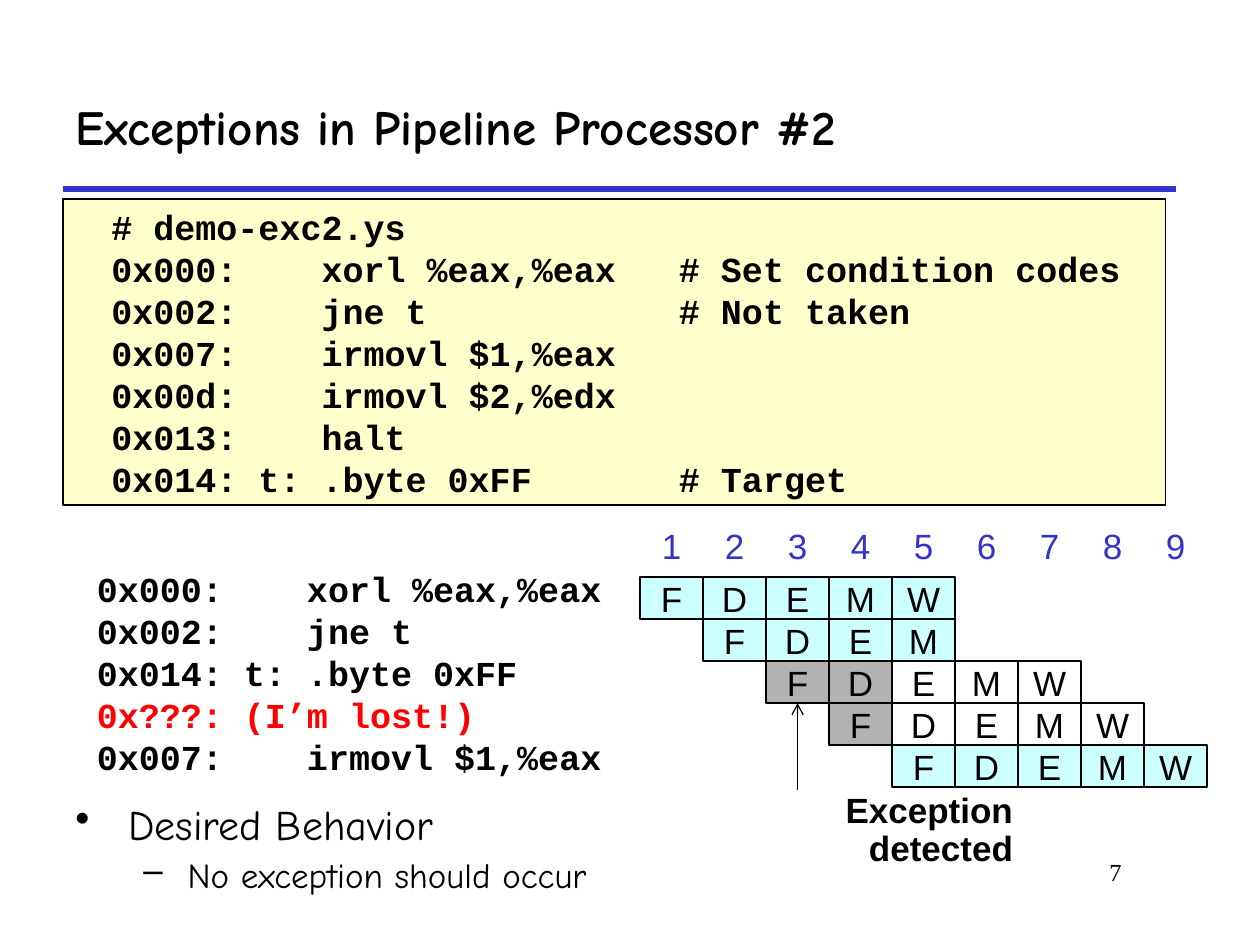
from lxml.etree import SubElement
from pptx import Presentation
from pptx.dml.color import RGBColor
from pptx.enum.shapes import MSO_CONNECTOR, MSO_SHAPE
from pptx.enum.text import MSO_ANCHOR, PP_ALIGN
from pptx.oxml.ns import qn
from pptx.util import Inches, Pt

BLACK = RGBColor(0x00, 0x00, 0x00)
WHITE = RGBColor(0xFF, 0xFF, 0xFF)
BLUE = RGBColor(0x33, 0x33, 0xCC)
RED = RGBColor(0xFF, 0x00, 0x00)
CREAM = RGBColor(0xFF, 0xFF, 0xCC)
CYAN = RGBColor(0xCC, 0xFF, 0xFF)
GRAY = RGBColor(0xB2, 0xB2, 0xB2)
SANS, MONO, COMIC, SERIF = "Arial", "Courier New", "Comic Neue", "Times New Roman"

CODE = """\
  # demo-exc2.ys
  0x000:    xorl %eax,%eax   # Set condition codes
  0x002:    jne t            # Not taken
  0x007:    irmovl $1,%eax
  0x00d:    irmovl $2,%edx
  0x013:    halt
  0x014: t: .byte 0xFF       # Target"""

# Each instruction: text, its colour, and (stages, fill) runs in the pipeline
STEPS = [
    ("0x000:    xorl %eax,%eax", BLACK, [("FDEMW", CYAN)]),
    ("0x002:    jne t", BLACK, [("FDEM", CYAN)]),
    ("0x014: t: .byte 0xFF", BLACK, [("FD", GRAY), ("EMW", WHITE)]),
    ("0x???: (I’m lost!)", RED, [("F", GRAY), ("DEMW", WHITE)]),
    ("0x007:    irmovl $1,%eax", BLACK, [("FDEMW", CYAN)]),
]
LEFT, COL, ROW = 5.08, 0.5, 1 / 3


class Deck:
    def __init__(self):
        self.prs = Presentation()
        self.prs.slide_width, self.prs.slide_height = Inches(10), Inches(7.5)
        self.slide = self.prs.slides.add_slide(self.prs.slide_layouts[5])
        self.shapes = self.slide.shapes

    def style(self, para, font, size, color=BLACK, bold=False, align=PP_ALIGN.LEFT):
        para.alignment = align
        face = para.font
        face.name, face.size, face.bold = font, Pt(size), bold
        face.color.rgb = color

    def title(self, text, x, y, w, h):
        box = self.shapes.title
        box.left, box.top, box.width, box.height = map(Inches, (x, y, w, h))
        frame = box.text_frame
        frame.text = text
        frame.vertical_anchor = MSO_ANCHOR.MIDDLE
        self.style(frame.paragraphs[0], COMIC, 28, bold=True)

    def text(self, text, x, y, w, h, font, size, inset=0.1, **look):
        box = self.shapes.add_textbox(*map(Inches, (x, y, w, h)))
        frame = box.text_frame
        frame.word_wrap = True
        frame.margin_left = frame.margin_right = Inches(inset)
        para = frame.paragraphs[0]
        para.text = text
        self.style(para, font, size, **look)
        return para

    def rect(self, x, y, w, h, fill, line=None):
        box = self.shapes.add_shape(MSO_SHAPE.RECTANGLE, *map(Inches, (x, y, w, h)))
        box.shadow.inherit = False
        box.fill.solid()
        box.fill.fore_color.rgb = fill
        if line:
            box.line.color.rgb, box.line.width = BLACK, Pt(line)
        else:
            box.line.fill.background()
        return box.text_frame

    def cell(self, text, x, y, w, fill=WHITE, line=None, font=SANS, **look):
        frame = self.rect(x, y, w, ROW, fill, line)
        frame.word_wrap = False
        frame.vertical_anchor = MSO_ANCHOR.MIDDLE
        para = frame.paragraphs[0]
        para.text = text
        self.style(para, font, 20, **look)

    def code(self, text, x, y, w, h):
        frame = self.rect(x, y, w, h, CREAM, 0.75)
        frame.vertical_anchor = MSO_ANCHOR.TOP
        frame.margin_left = frame.margin_right = Inches(0.05)
        frame.text = text
        for para in frame.paragraphs:
            self.style(para, MONO, 20, bold=True)

    def line(self, x1, y1, x2, y2, color, width, arrow=False):
        rule = self.shapes.add_connector(
            MSO_CONNECTOR.STRAIGHT, *map(Inches, (x1, y1, x2, y2)))
        rule.line.color.rgb, rule.line.width = color, Pt(width)
        if arrow:
            SubElement(rule.line._get_or_add_ln(), qn("a:tailEnd"), type="arrow")
        SubElement(rule._element.spPr, qn("a:effectLst"))

    def points(self, items, x, y, w, h):
        box = self.shapes.add_textbox(*map(Inches, (x, y, w, h)))
        frame = box.text_frame
        frame.word_wrap = True
        for i, (text, mark, size, left, hang) in enumerate(items):
            para = frame.add_paragraph() if i else frame.paragraphs[0]
            para.text = text
            para.level = i
            para.line_spacing = 0.9
            para.space_before = Pt(5 if i else 0)
            props = para._p.get_or_add_pPr()
            props.set("marL", str(Inches(left)))
            props.set("indent", str(-Inches(hang)))
            SubElement(props, qn("a:buChar"), char=mark)
            self.style(para, COMIC, size)


def main():
    deck = Deck()

    # Heading, rule and page number
    deck.line(0.5, 1.5, 9.33, 1.5, BLUE, 3)
    deck.title("Exceptions in Pipeline Processor #2", 0.5, 0.5, 8.83, 1)
    deck.text("7", 7.58, 6.75, 1.42, 0.5, SERIF, 14, align=PP_ALIGN.RIGHT)

    # Desired behavior
    deck.points([("Desired Behavior", "•", 24, 0.42, 0.42),
                 ("No exception should occur", "–", 20, 0.89, 0.35)],
                0.5, 6.33, 9.08, 0.84)

    # Program listing
    deck.code(CODE, 0.5, 1.58, 8.75, 2.43)

    # Exception marker
    deck.line(6.33, 6.27, 6.33, 5.58, BLACK, 0.75, arrow=True)
    note = deck.text("Exception\vdetected", 5.44, 6.25, 2.65, 0.7, SANS, 20,
                     inset=0.05, bold=True, align=PP_ALIGN.RIGHT)
    note.line_spacing = 0.9

    # Cycle numbers
    for i in range(9):
        deck.cell(str(i + 1), LEFT + i * COL, 4.16, COL,
                  color=BLUE, align=PP_ALIGN.CENTER)

    # Instructions and their pipeline stages, each one cycle later
    for i, (text, color, runs) in enumerate(STEPS):
        deck.cell(text, 0.67, 4.5 + i * ROW, 2.84, font=MONO, color=color, bold=True)
        stages = [(stage, fill) for names, fill in runs for stage in names]
        for j, (stage, fill) in enumerate(stages, start=i):
            deck.cell(stage, LEFT + j * COL, 4.58 + i * ROW, COL, fill, 1,
                      align=PP_ALIGN.CENTER)

    deck.prs.save("out.pptx")


if __name__ == "__main__":
    main()
